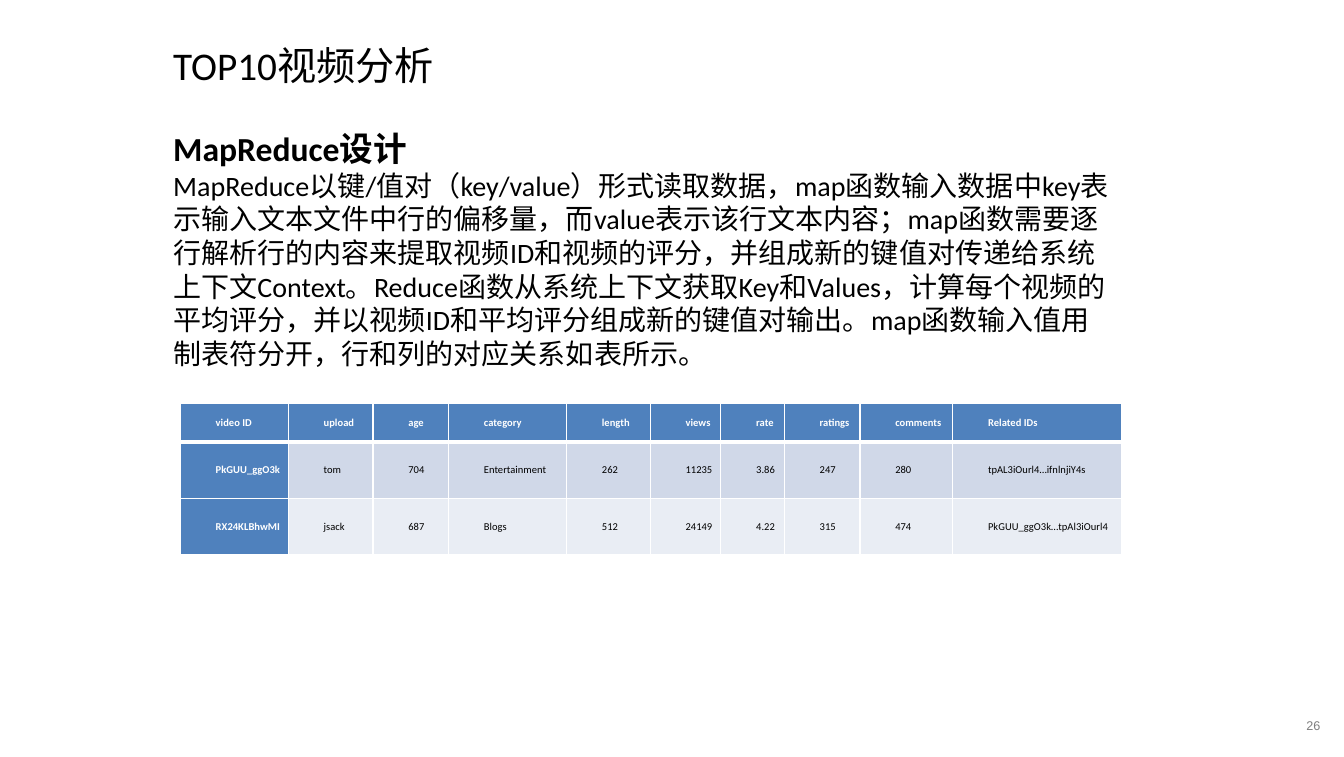
from dataclasses import dataclass

from lxml.etree import SubElement
from pptx import Presentation
from pptx.dml.color import RGBColor
from pptx.enum.text import MSO_ANCHOR, MSO_AUTO_SIZE
from pptx.oxml.ns import qn
from pptx.util import Inches, Pt

SLIDE_WIDTH = Inches(13.33)
SLIDE_HEIGHT = Inches(7.51)


@dataclass(frozen=True)
class Theme:
    text_font: str = "Calibri"
    number_font: str = "Arial"
    black: str = "000000"
    white: str = "FFFFFF"
    grey: str = "7E7E7E"
    header_fill: str = "4F81BD"
    band_fills: tuple = ("D0D8E8", "E9EDF4")
    title_size: float = 28
    heading_size: float = 24
    body_size: float = 20
    number_size: float = 9
    table_size: float = 7.5


THEME = Theme()

HEADING = "MapReduce设计"
BODY = (
    "MapReduce以键/值对（key/value）形式读取数据，map函数输入数据中key表示输入文本文件中行的偏移量，"
    "而value表示该行文本内容；map函数需要逐行解析行的内容来提取视频ID和视频的评分，"
    "并组成新的键值对传递给系统上下文Context。Reduce函数从系统上下文获取Key和Values，"
    "计算每个视频的平均评分，并以视频ID和平均评分组成新的键值对输出。"
    "map函数输入值用制表符分开，行和列的对应关系如表所示。"
)

VIDEO_ROWS = [
    ["video ID", "upload", "age", "category", "length",
     "views", "rate", "ratings", "comments", "Related IDs"],
    ["PkGUU_ggO3k", "tom", "704", "Entertainment", "262",
     "11235", "3.86", "247", "280", "tpAL3iOurl4…ifnlnjiY4s"],
    ["RX24KLBhwMI", "jsack", "687", "Blogs", "512",
     "24149", "4.22", "315", "474", "PkGUU_ggO3k…tpAl3iOurl4"],
]
COLUMN_WEIGHTS = [1.07, 0.84, 0.75, 1.17, 0.83, 0.7, 0.63, 0.75, 0.92, 1.67]
ROW_WEIGHTS = [0.39, 0.56, 0.56]


def area(left, top, width, height):
    """Turn percentages of the slide into a left, top, width, height tuple."""
    return (
        int(SLIDE_WIDTH * left / 100),
        int(SLIDE_HEIGHT * top / 100),
        int(SLIDE_WIDTH * width / 100),
        int(SLIDE_HEIGHT * height / 100),
    )


def set_values(target, values):
    for name, value in values.items():
        setattr(target, name, value)


def write_paragraph(paragraph, text, size, color=THEME.black, bold=False,
                    font_name=THEME.text_font):
    run = paragraph.add_run()
    run.text = text
    set_values(run.font, {"size": Pt(size), "bold": bold, "name": font_name})
    run.font.color.rgb = RGBColor.from_string(color)


def add_text(slide, place, paragraphs, **frame_values):
    """Add a text box; each paragraph is a dict of write_paragraph arguments."""
    frame = slide.shapes.add_textbox(*place).text_frame
    set_values(frame, {"word_wrap": True,
                       "auto_size": MSO_AUTO_SIZE.SHAPE_TO_FIT_TEXT,
                       **frame_values})
    for index, values in enumerate(paragraphs):
        paragraph = frame.add_paragraph() if index else frame.paragraphs[0]
        write_paragraph(paragraph, **values)


def set_borders(cell, bottom_width):
    """Draw white cell borders, which must come before the fill in the XML."""
    properties = cell._tc.get_or_add_tcPr()
    widths = {"a:lnL": 1, "a:lnR": 1, "a:lnT": 1, "a:lnB": bottom_width}
    for position, (tag, width) in enumerate(widths.items()):
        line = SubElement(properties, qn(tag), w=str(Pt(width)))
        fill = SubElement(line, qn("a:solidFill"))
        SubElement(fill, qn("a:srgbClr"), val=THEME.white)
        properties.insert(position, line)


def fill_cell(cell, text, row, column):
    heading = row == 0 or column == 0
    color = THEME.header_fill if heading else THEME.band_fills[row - 1]
    set_values(cell, {"margin_left": Inches(0.07), "margin_right": Inches(0.07),
                      "margin_top": 0, "margin_bottom": 0,
                      "vertical_anchor": MSO_ANCHOR.MIDDLE})
    cell.fill.solid()
    cell.fill.fore_color.rgb = RGBColor.from_string(color)
    set_borders(cell, bottom_width=1 if row else 3)
    paragraph = cell.text_frame.paragraphs[0]
    paragraph._p.get_or_add_pPr().set("indent", str(Inches(0.28)))
    write_paragraph(paragraph, text, THEME.table_size,
                    THEME.white if heading else THEME.black, heading)


def add_video_table(slide, place):
    table = slide.shapes.add_table(len(VIDEO_ROWS), len(COLUMN_WEIGHTS), *place).table
    set_values(table, {"first_col": True, "horz_banding": True})
    for column, weight in zip(table.columns, COLUMN_WEIGHTS):
        column.width = int(place[2] * weight / sum(COLUMN_WEIGHTS))
    for row, weight in zip(table.rows, ROW_WEIGHTS):
        row.height = int(place[3] * weight / sum(ROW_WEIGHTS))
    for row, texts in enumerate(VIDEO_ROWS):
        for column, text in enumerate(texts):
            fill_cell(table.cell(row, column), text, row, column)


def main():
    presentation = Presentation()
    set_values(presentation, {"slide_width": SLIDE_WIDTH, "slide_height": SLIDE_HEIGHT})
    slide = presentation.slides.add_slide(presentation.slide_layouts[6])

    add_text(slide, area(97.2, 94.8, 1.5, 2),
             [{"text": "26", "size": THEME.number_size, "color": THEME.grey,
               "font_name": THEME.number_font}],
             margin_left=0, margin_right=0, margin_top=0, margin_bottom=0)
    add_text(slide, area(12.15, 4.8, 60, 7.6),
             [{"text": "TOP10视频分析", "size": THEME.title_size}])
    add_text(slide, area(12.15, 16.25, 71.27, 33.55),
             [{"text": HEADING, "size": THEME.heading_size, "bold": True},
              {"text": BODY, "size": THEME.body_size}])
    add_video_table(slide, area(13.43, 53.26, 70, 20))

    presentation.save("out.pptx")


if __name__ == "__main__":
    main()
